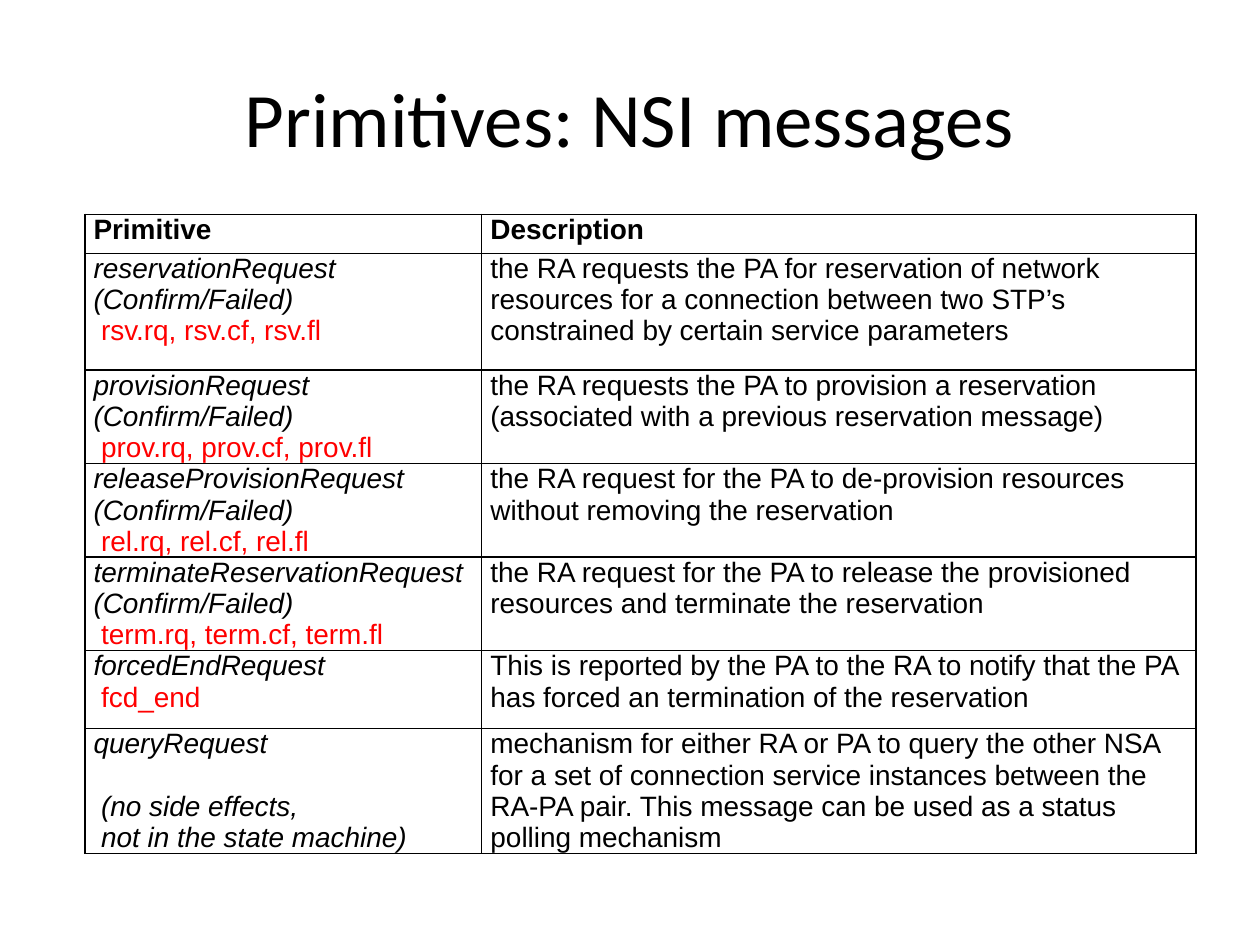
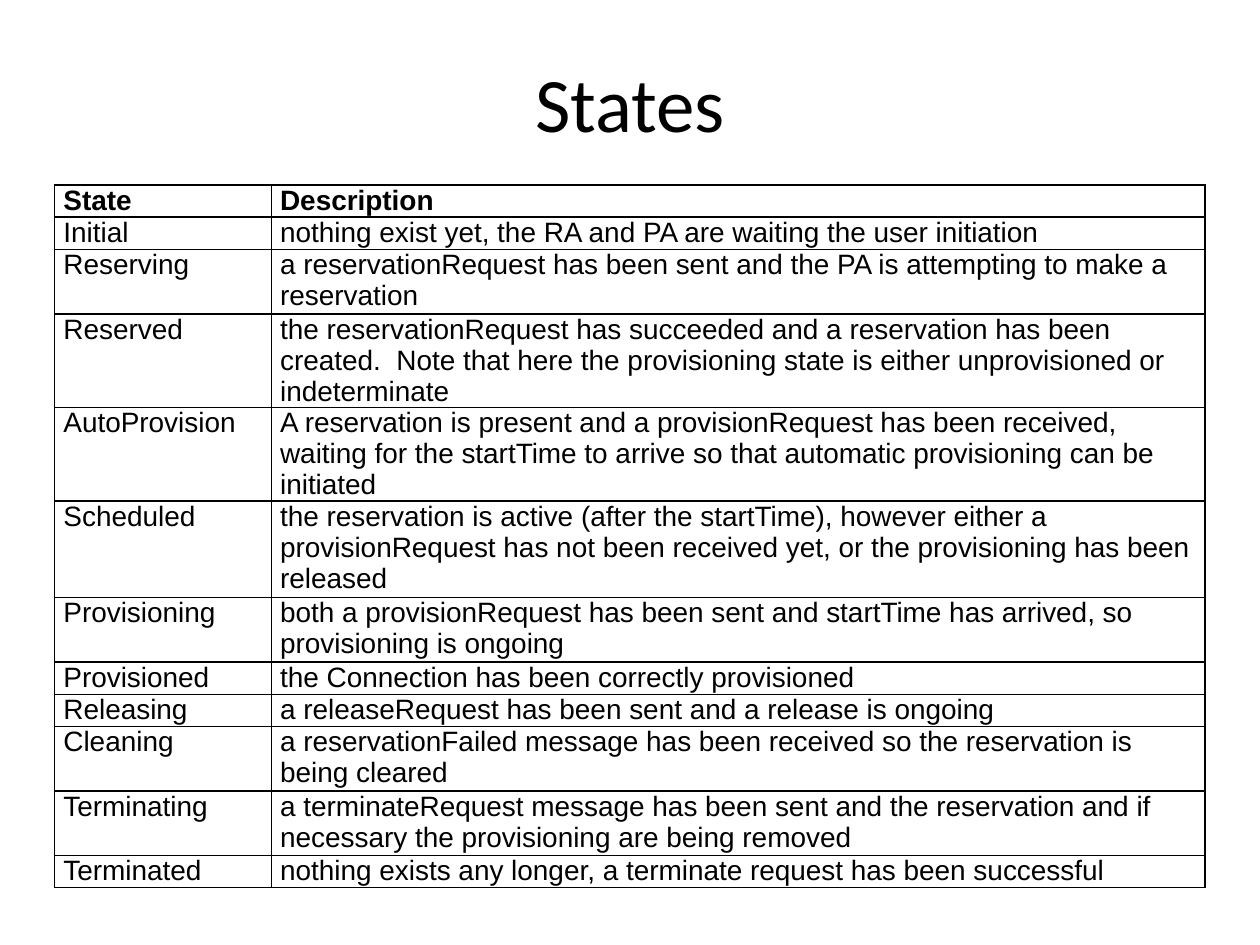
from dataclasses import dataclass

from lxml import etree
from pptx import Presentation
from pptx.dml.color import RGBColor
from pptx.enum import text as t
from pptx.oxml.ns import qn
from pptx.util import Inches, Pt

COLS, ROWS = 100, 75
UNIT = Inches(0.1)
INK = {"text": "000000", "code": "FF0000", "edge": "000000"}
HEAD, BODY = "Calibri", "Arial"
SIZE, LEAD = 16, 17.8
PAD = Inches(0.07)


@dataclass(frozen=True)
class Line:
    text: str
    bold: bool = False
    slant: bool = False
    ink: str = "text"
    inset: float = 0
    gap: float = 0


@dataclass(frozen=True)
class Grid:
    """A table: place, widths and height in grid units, row heights as weights."""
    left: float
    top: float
    widths: tuple[float, ...]
    height: float
    weights: tuple[float, ...]
    rows: list[list[list[Line]]]


@dataclass(frozen=True)
class Page:
    title: str
    depth: float
    grid: Grid


def span(n: float) -> int:
    return round(n * UNIT)


def head(*names: str) -> list[list[Line]]:
    return [[Line(name, bold=True)] for name in names]


def code(text: str) -> Line:
    return Line(text, ink="code", inset=0.6)


def call(name: str, stem: str) -> list[Line]:
    """The cell of a primitive that has request, confirm and fail messages."""
    codes = ", ".join(f"{stem}.{end}" for end in ("rq", "cf", "fl"))
    return [Line(name, slant=True), Line("(Confirm/Failed)", slant=True), code(codes)]


def style(font, face: str, size: float, ink: str) -> None:
    font.name, font.size = face, Pt(size)
    font.color.rgb = RGBColor.from_string(INK[ink])


def edge(cell) -> None:
    """Draw a thin line on all four sides of a cell."""
    props = cell._tc.get_or_add_tcPr()
    for i, side in enumerate(("lnL", "lnR", "lnT", "lnB")):
        ln = etree.Element(qn(f"a:{side}"), w=str(Pt(1)))
        fill = etree.SubElement(ln, qn("a:solidFill"))
        etree.SubElement(fill, qn("a:srgbClr"), val=INK["edge"])
        props.insert(i, ln)


def write(cell, lines: list[Line]) -> None:
    cell.margin_left = cell.margin_right = PAD
    cell.margin_top = cell.margin_bottom = 0
    cell.vertical_anchor = t.MSO_ANCHOR.TOP
    cell.fill.background()
    edge(cell)
    frame = cell.text_frame
    frame.text = "\n".join(line.text for line in lines)
    for para, line in zip(frame.paragraphs, lines):
        para.line_spacing = Pt(LEAD)
        if line.inset:
            para._p.get_or_add_pPr().set("marL", str(span(line.inset)))
        if line.gap:
            para.space_before = Pt(line.gap)
        font = para.runs[0].font
        style(font, BODY, SIZE, line.ink)
        font.bold, font.italic = line.bold, line.slant


def title(slide, page: Page) -> None:
    box = slide.shapes.add_textbox(span(5), span(3), span(COLS - 10), span(page.depth))
    frame = box.text_frame
    frame.word_wrap = True
    frame.vertical_anchor = t.MSO_ANCHOR.MIDDLE
    frame.text = page.title
    para = frame.paragraphs[0]
    para.alignment = t.PP_ALIGN.CENTER
    style(para.runs[0].font, HEAD, 44, "text")


def table(slide, grid: Grid) -> None:
    shape = slide.shapes.add_table(
        len(grid.rows), len(grid.widths), span(grid.left), span(grid.top),
        span(sum(grid.widths)), span(grid.height))
    tab = shape.table
    tab.first_row = tab.horz_banding = False
    for col, width in zip(tab.columns, grid.widths):
        col.width = span(width)
    share = grid.height / sum(grid.weights)
    for row, weight, cells in zip(tab.rows, grid.weights, grid.rows):
        row.height = span(weight * share)
        for cell, lines in zip(row.cells, cells):
            write(cell, lines)


CALLS = [
    (call("reservationRequest", "rsv"),
     "the RA requests the PA for reservation of network resources for a connection "
     "between two STP’s constrained by certain service parameters"),
    (call("provisionRequest", "prov"),
     "the RA requests the PA to provision a reservation "
     "(associated with a previous reservation message)"),
    (call("releaseProvisionRequest", "rel"),
     "the RA request for the PA to de-provision resources without removing the reservation"),
    (call("terminateReservationRequest", "term"),
     "the RA request for the PA to release the provisioned resources "
     "and terminate the reservation"),
    ([Line("forcedEndRequest", slant=True), code("fcd_end")],
     "This is reported by the PA to the RA to notify that the PA has forced "
     "an termination of the reservation"),
    ([Line("queryRequest", slant=True),
      Line("(no side effects,", slant=True, inset=0.6, gap=LEAD),
      Line("not in the state machine)", slant=True, inset=0.6)],
     "mechanism for either RA or PA to query the other NSA for a set of connection "
     "service instances between the RA-PA pair. This message can be used as a status "
     "polling mechanism"),
]

STATES = {
    "Initial": "nothing exist yet, the RA and PA are waiting the user initiation",
    "Reserving": "a reservationRequest has been sent and the PA is attempting "
                 "to make a reservation",
    "Reserved": "the reservationRequest has succeeded and a reservation has been created.  "
                "Note that here the provisioning state is either unprovisioned "
                "or indeterminate",
    "AutoProvision": "A reservation is present and a provisionRequest has been received, "
                     "waiting for the startTime to arrive so that automatic provisioning "
                     "can be initiated",
    "Scheduled": "the reservation is active (after the startTime), however either a "
                 "provisionRequest has not been received yet, or the provisioning "
                 "has been released",
    "Provisioning": "both a provisionRequest has been sent and startTime has arrived, "
                    "so provisioning is ongoing",
    "Provisioned": "the Connection has been correctly provisioned",
    "Releasing": "a releaseRequest has been sent and a release is ongoing",
    "Cleaning": "a reservationFailed message has been received so the reservation "
                "is being cleared",
    "Terminating": "a terminateRequest message has been sent and the reservation "
                   "and if necessary the provisioning are being removed",
    "Terminated": "nothing exists any longer, a terminate request has been successful",
}

PAGES = [
    Page("Primitives: NSI messages", 12.5, Grid(
        6.73, 17.02, (31.5, 56.7), 50.7, (1, 3, 2.4, 2.4, 2.4, 2, 3.2),
        [head("Primitive", "Description")]
        + [[lines, [Line(about)]] for lines, about in CALLS])),
    Page("States", 10.1, Grid(
        4.34, 14.67, (17.2, 74.1), 55.8, (1, 1, 2, 2.9, 2.9, 3, 2, 1, 1, 2, 2, 1),
        [head("State", "Description")]
        + [[[Line(name)], [Line(about)]] for name, about in STATES.items()])),
]


def main() -> None:
    deck = Presentation()
    deck.slide_width, deck.slide_height = span(COLS), span(ROWS)
    for page in PAGES:
        slide = deck.slides.add_slide(deck.slide_layouts[6])
        title(slide, page)
        table(slide, page.grid)
    deck.save("out.pptx")


if __name__ == "__main__":
    main()
